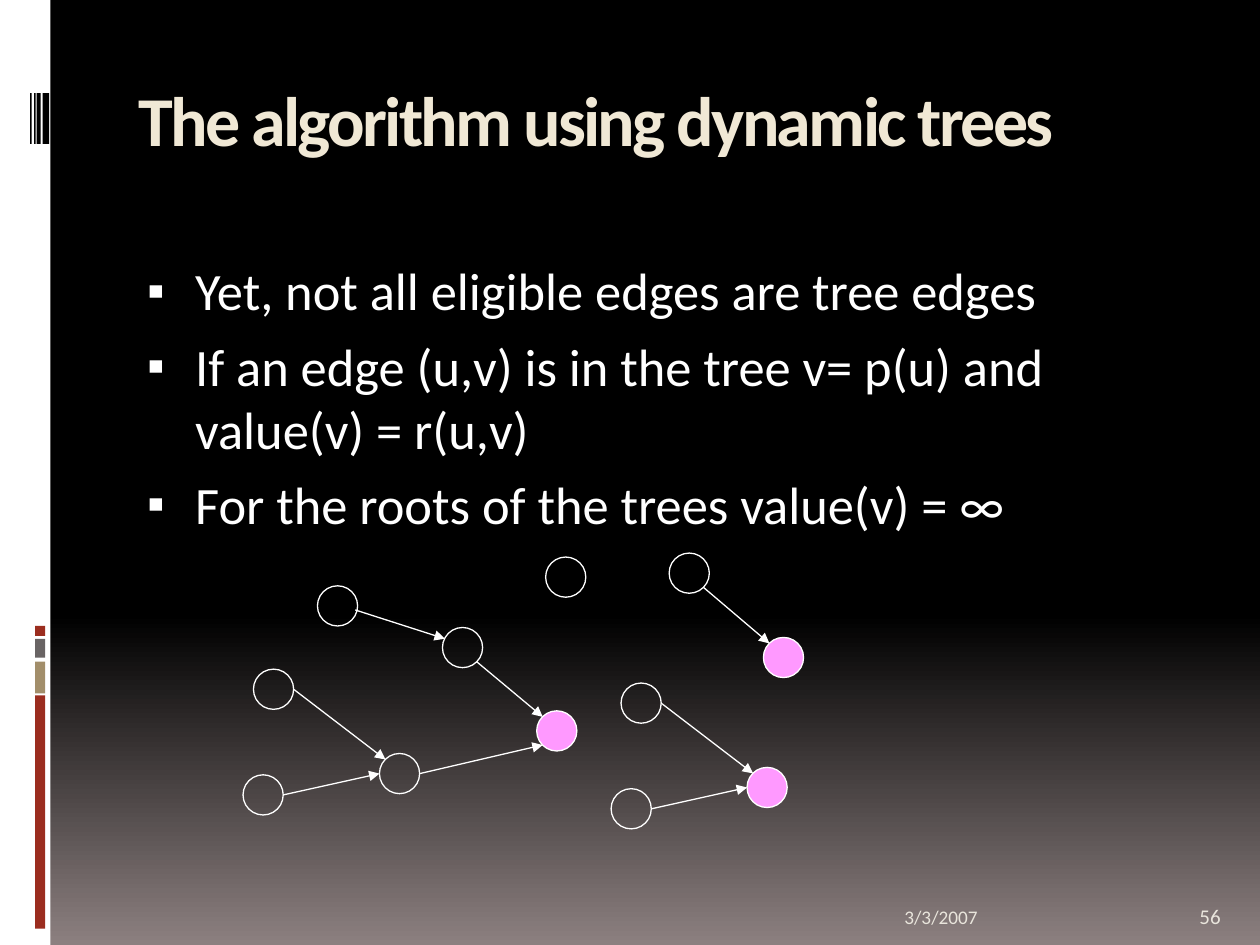
from copy import deepcopy
from dataclasses import dataclass

from lxml import etree
from pptx import Presentation
from pptx import util as u
from pptx.dml import color
from pptx.enum import shapes, text
from pptx.oxml import ns


@dataclass
class Theme:
    font: str = "Calibri"
    title: str = "F0E8D5"
    body: str = "FFFFFF"
    footer: str = "E9E5DC"
    line: str = "FFFFFF"
    root: str = "FF99FF"
    white: str = "FFFFFF"
    black: str = "000000"
    bottom: str = "8C8080"
    red: str = "9B2D1F"
    tan: str = "A28E6A"
    grey: str = "696464"
    title_size: int = 40
    body_size: int = 30
    date_size: int = 11
    number_size: int = 12
    line_width: float = 0.75


def add_text(p, words, size, rgb, bold=False):
    r = p.add_run()
    r.text = words
    fmt = {"name": theme.font, "size": u.Pt(size), "bold": bold}
    for key, value in fmt.items():
        setattr(r.font, key, value)
    r.font.color.rgb = color.RGBColor.from_string(rgb)
    return r


def add_shape(parent, kind, box, fill=None, line=None):
    sp = parent.add_shape(kind, *[u.Cm(v) for v in box])
    sp.shadow.inherit = False
    if fill:
        sp.fill.solid()
        sp.fill.fore_color.rgb = color.RGBColor.from_string(fill)
    else:
        sp.fill.background()
    if line:
        sp.line.color.rgb = color.RGBColor.from_string(line)
        sp.line.width = u.Pt(theme.line_width)
    else:
        sp.line.fill.background()
    return sp


theme = Theme()
prs = Presentation()
prs.slide_width, prs.slide_height = u.Cm(25.4), u.Cm(19.05)
s = prs.slides.add_slide(prs.slide_layouts[1])

fill = s.background.fill
fill.gradient()
fill.gradient_angle = 270
stops = s.background._cSld.find(".//" + ns.qn("a:gsLst"))
stops.insert(0, deepcopy(stops[0]))
gradient = [(0, theme.black), (0.65, theme.black), (1, theme.bottom)]
for stop, (position, rgb) in zip(fill.gradient_stops, gradient):
    stop.position = position
    stop.color.rgb = color.RGBColor.from_string(rgb)

rect = shapes.MSO_SHAPE.RECTANGLE
add_shape(s.shapes, rect, (0, 0, 1.02, 19.05), theme.white)
for top, height, rgb in [
    (14.02, 4.7, theme.red),
    (13.34, 0.64, theme.tan),
    (12.88, 0.38, theme.grey),
    (12.62, 0.2, theme.red),
]:
    add_shape(s.shapes, rect, (0.71, top, 0.2, height), rgb)
for left, width in [(0.86, 0.13), (0.74, 0.08), (0.69, 0.03), (0.61, 0.03)]:
    add_shape(s.shapes, rect, (left, 1.88, width, 1.02), theme.black)

title, body = s.shapes.title, s.placeholders[1]
frame_format = {
    "vertical_anchor": text.MSO_ANCHOR.TOP,
    "auto_size": text.MSO_AUTO_SIZE.NONE,
    "word_wrap": True,
}
for sp, top, height in [(title, 1.42, 2.54), (body, 5.08, 12.7)]:
    sp.left, sp.top, sp.width, sp.height = [
        u.Cm(v) for v in (2.54, top, 21.59, height)
    ]
    for key, value in frame_format.items():
        setattr(sp.text_frame, key, value)

p = title.text_frame.paragraphs[0]
p.alignment = text.PP_ALIGN.LEFT
r = add_text(p, "The algorithm using dynamic trees", theme.title_size, theme.title, True)
r.font._element.set("spc", "-150")

tf = body.text_frame
for i, words in enumerate([
    "Yet, not all eligible edges are tree edges",
    "If an edge (u,v) is in the tree v= p(u) and value(v) = r(u,v)",
    "For the roots of the trees value(v) = ∞",
]):
    p = tf.add_paragraph() if i else tf.paragraphs[0]
    p.alignment = text.PP_ALIGN.LEFT
    p.space_before = u.Pt(7)
    pPr = p._p.get_or_add_pPr()
    pPr.set("marL", str(u.Cm(1.14)))
    pPr.set("indent", str(u.Cm(-0.97)))
    etree.SubElement(pPr, ns.qn("a:buSzPct")).set("val", "95000")
    etree.SubElement(pPr, ns.qn("a:buChar")).set("char", "▪")
    add_text(p, words, theme.body_size, theme.body)

for words, left, width, size in [
    ("3/3/2007", 17.98, 5.92, theme.date_size),
    ("56", 23.93, 1.27, theme.number_size),
]:
    tf = s.shapes.add_textbox(u.Cm(left), u.Cm(17.83), u.Cm(width), u.Cm(1.02)).text_frame
    tf.word_wrap = True
    tf.vertical_anchor = text.MSO_ANCHOR.BOTTOM
    add_text(tf.paragraphs[0], words, size, theme.footer)

diameter = 0.81
sites = {
    "left": (0, 0.5),
    "right": (1, 0.5),
    "top left": (0.15, 0.15),
    "bottom left": (0.15, 0.85),
    "bottom right": (0.85, 0.85),
    "low right": (0.94, 0.6),
    "high left": (0.06, 0.28),
}
large_tree = {
    "a": (6.4, 11.81), "b": (8.92, 12.65), "c": (5.11, 13.49),
    "d": (4.9, 15.62), "e": (7.65, 15.19), "root 1": (10.82, 14.33),
}
small_trees = {
    "f": (13.49, 11.15), "root 2": (15.39, 12.85), "single": (11, 11.23),
    "g": (12.52, 13.77), "h": (12.32, 15.9), "root 3": (15.06, 15.47),
}
large_edges = [
    ("a", "low right", "b", "high left"),
    ("b", "bottom right", "root 1", "top left"),
    ("c", "right", "e", "top left"),
    ("d", "right", "e", "left"),
    ("e", "right", "root 1", "bottom left"),
]
small_edges = [
    ("f", "bottom right", "root 2", "top left"),
    ("g", "right", "root 3", "top left"),
    ("h", "right", "root 3", "left"),
]
group = s.shapes.add_group_shape()
for parent, nodes, edges in [
    (group.shapes, large_tree, large_edges),
    (s.shapes, small_trees, small_edges),
]:
    for name, (x, y) in nodes.items():
        root = theme.root if name.startswith("root") else None
        add_shape(parent, shapes.MSO_SHAPE.OVAL, (x, y, diameter, diameter), root, theme.line)
    for start, start_site, end, end_site in edges:
        ends = [
            u.Cm(corner + diameter * share)
            for node, site in ((start, start_site), (end, end_site))
            for corner, share in zip(nodes[node], sites[site])
        ]
        edge = parent.add_connector(shapes.MSO_CONNECTOR.STRAIGHT, *ends)
        edge.line.color.rgb = color.RGBColor.from_string(theme.line)
        edge.line.width = u.Pt(theme.line_width)
        etree.SubElement(edge.line._get_or_add_ln(), ns.qn("a:tailEnd")).set("type", "triangle")
        etree.SubElement(edge._element.spPr, ns.qn("a:effectLst"))

prs.save("out.pptx")
